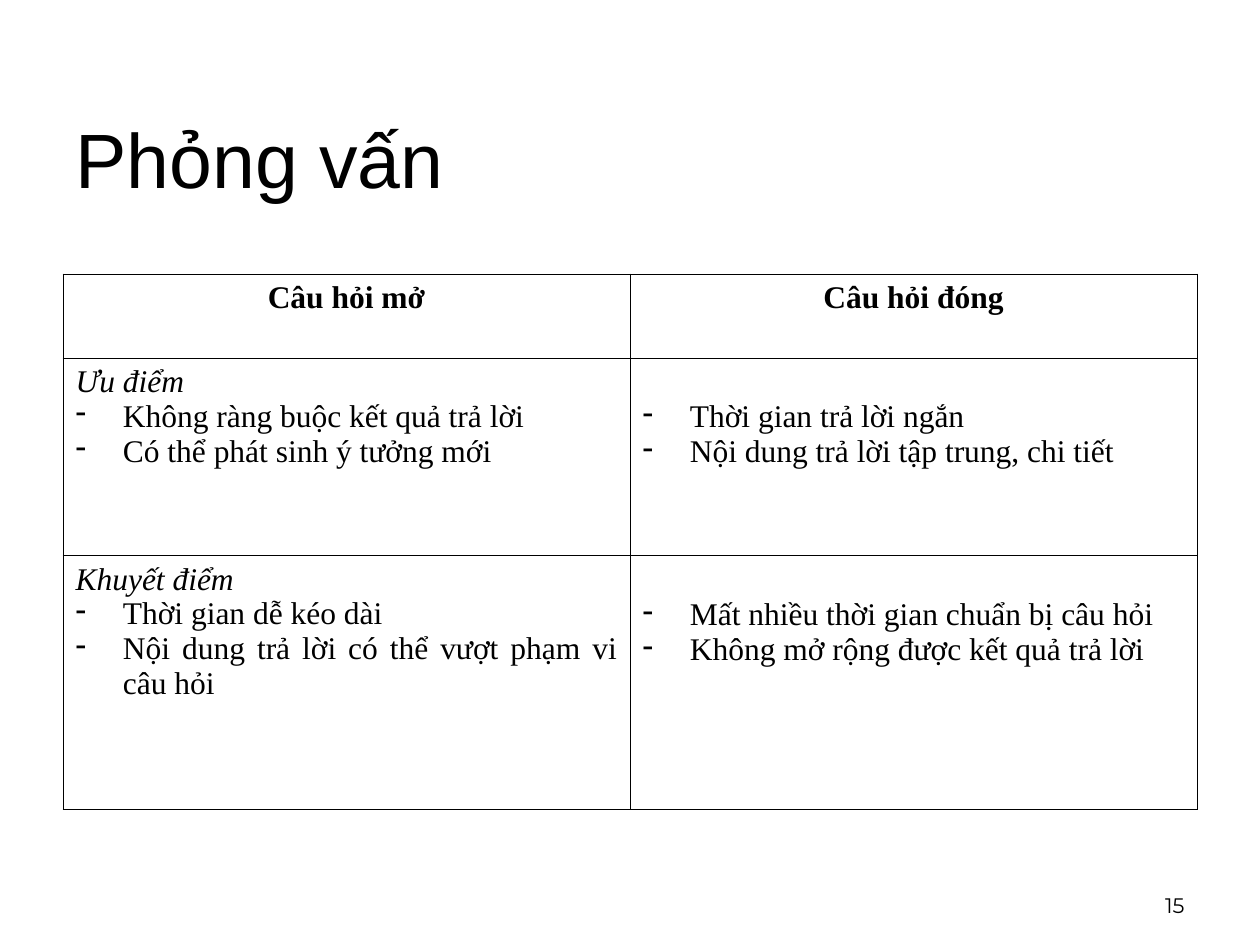
from dataclasses import dataclass

from lxml import etree
from pptx import Presentation
from pptx.dml.color import RGBColor
from pptx.enum.text import MSO_ANCHOR, PP_ALIGN
from pptx.oxml.ns import qn
from pptx.util import Pt

LEFT, CENTER, RIGHT = PP_ALIGN.LEFT, PP_ALIGN.CENTER, PP_ALIGN.RIGHT
JUSTIFY = PP_ALIGN.JUSTIFY
MIDDLE, BOTTOM = MSO_ANCHOR.MIDDLE, MSO_ANCHOR.BOTTOM
COLORS = {"text": "000000", "border": "000000", "cell": "FFFFFF"}
TITLE_ONLY_LAYOUT = 5
BORDER_WIDTH = Pt(0.45)
BULLET_INDENT = Pt(27)
CELL_MARGIN = Pt(3.6)
HEADING_LINE = Pt(20.4)  # room that lines up bullets with the neighbour's heading


@dataclass
class CellContent:
    heading: str = ""
    bullets: tuple[str, ...] = ()
    is_header: bool = False


ROW_HEIGHTS = (48, 113, 145)
ROWS = (
    (
        CellContent("Câu hỏi mở", is_header=True),
        CellContent("Câu hỏi đóng", is_header=True),
    ),
    (
        CellContent("Ưu điểm", ("Không ràng buộc kết quả trả lời",
                                "Có thể phát sinh ý tưởng mới")),
        CellContent(bullets=("Thời gian trả lời ngắn",
                             "Nội dung trả lời tập trung, chi tiết")),
    ),
    (
        CellContent("Khuyết điểm", ("Thời gian dễ kéo dài",
                                    "Nội dung trả lời có thể vượt phạm vi câu hỏi")),
        CellContent(bullets=("Mất nhiều thời gian chuẩn bị câu hỏi",
                             "Không mở rộng được kết quả trả lời")),
    ),
)


def write_paragraph(paragraph, text: str, font: str, size: float, alignment,
                    bold: bool = False, italic: bool = False) -> None:
    paragraph.text = text
    paragraph.alignment = alignment
    for run in paragraph.runs:
        run.font.name = font
        run.font.size = Pt(size)
        run.font.bold = bold
        run.font.italic = italic
        run.font.color.rgb = RGBColor.from_string(COLORS["text"])


def add_dash_bullet(paragraph) -> None:
    properties = paragraph._p.get_or_add_pPr()
    properties.set("marL", str(BULLET_INDENT))
    properties.set("indent", str(-BULLET_INDENT))
    etree.SubElement(properties, qn("a:buChar")).set("char", "-")


def draw_borders(cell) -> None:
    properties = cell._tc.get_or_add_tcPr()
    for position, side in enumerate(("a:lnL", "a:lnR", "a:lnT", "a:lnB")):
        line = etree.Element(qn(side), w=str(BORDER_WIDTH))
        fill = etree.SubElement(line, qn("a:solidFill"))
        etree.SubElement(fill, qn("a:srgbClr")).set("val", COLORS["border"])
        properties.insert(position, line)


def fill_cell(cell, content: CellContent) -> None:
    cell.fill.solid()
    cell.fill.fore_color.rgb = RGBColor.from_string(COLORS["cell"])
    draw_borders(cell)
    cell.margin_top = CELL_MARGIN if content.heading else CELL_MARGIN + HEADING_LINE

    lines = [content.heading] if content.heading else []
    lines.extend(content.bullets)
    frame = cell.text_frame
    for index, text in enumerate(lines):
        paragraph = frame.add_paragraph() if index else frame.paragraphs[0]
        is_heading = text == content.heading
        write_paragraph(
            paragraph, text, "Times New Roman", 18,
            CENTER if content.is_header else JUSTIFY,
            bold=content.is_header,
            italic=is_heading and not content.is_header,
        )
        if not is_heading:
            add_dash_bullet(paragraph)


def add_comparison_table(slide) -> None:
    frame = slide.shapes.add_table(len(ROWS), len(ROWS[0]), Pt(36), Pt(156.5),
                                   Pt(648), Pt(sum(ROW_HEIGHTS)))
    table = frame.table
    table.first_row = False
    table.horz_banding = False
    for row, height, contents in zip(table.rows, ROW_HEIGHTS, ROWS):
        row.height = Pt(height)
        for cell, content in zip(row.cells, contents):
            fill_cell(cell, content)


def main() -> None:
    presentation = Presentation()
    presentation.slide_width, presentation.slide_height = Pt(720), Pt(540)
    slide = presentation.slides.add_slide(presentation.slide_layouts[TITLE_ONLY_LAYOUT])

    # Title
    title = slide.shapes.title
    title.left, title.top, title.width, title.height = Pt(36), Pt(36), Pt(648), Pt(108)
    title.text_frame.vertical_anchor = MIDDLE
    write_paragraph(title.text_frame.paragraphs[0], "Phỏng vấn", "Arial", 44, LEFT)

    # Open and closed questions compared
    add_comparison_table(slide)

    # Page number
    page_number = slide.shapes.add_textbox(Pt(516), Pt(492), Pt(168), Pt(36))
    page_number.text_frame.word_wrap = True
    page_number.text_frame.vertical_anchor = BOTTOM
    write_paragraph(page_number.text_frame.paragraphs[0], "15", "Montserrat", 12, RIGHT)

    presentation.save("out.pptx")


if __name__ == "__main__":
    main()
